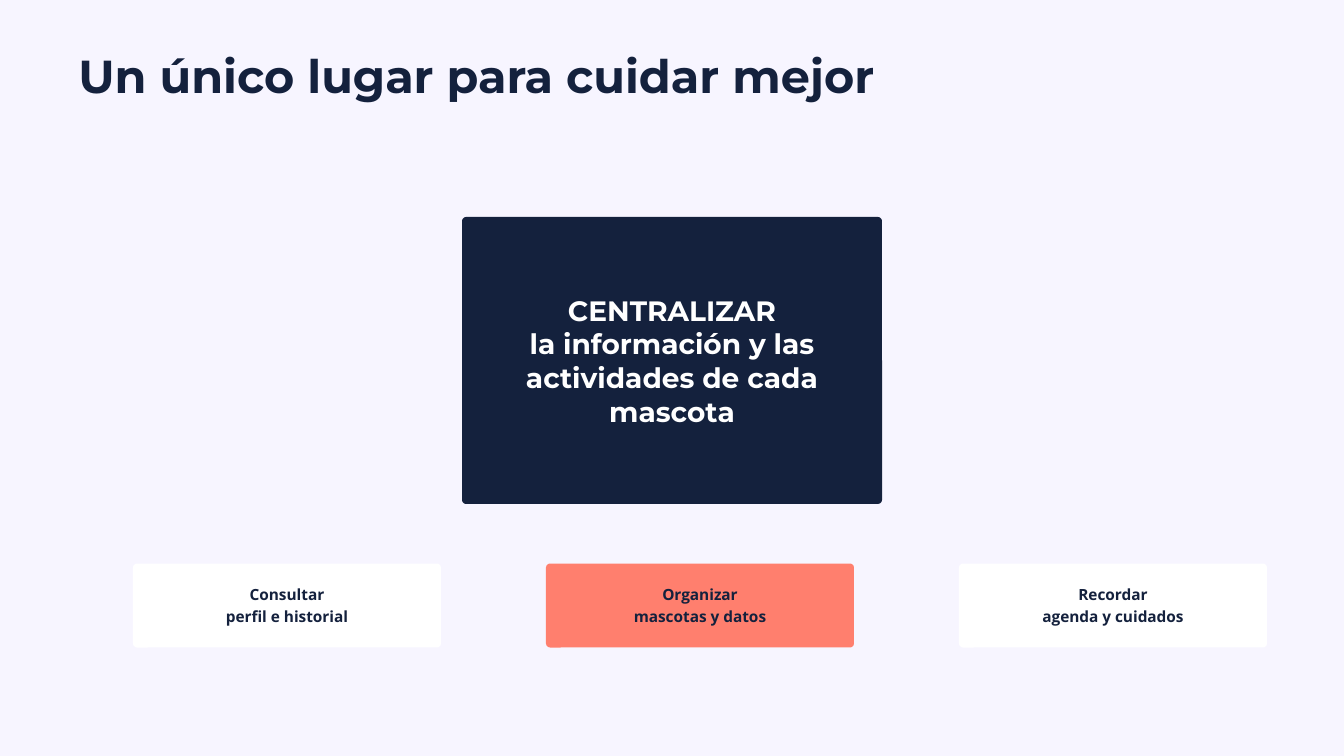
"""Builds a slide with a central purpose and three supporting actions."""
from dataclasses import dataclass

from pptx import Presentation
from pptx.dml.color import RGBColor
from pptx.enum.shapes import MSO_SHAPE
from pptx.enum.text import MSO_ANCHOR as Anchor, PP_ALIGN as Align
from pptx.slide import Slide
from pptx.text.text import TextFrame
from pptx.util import Inches, Pt

UNIT = 20 / 96


@dataclass(frozen=True)
class TextStyle:
    """Typeface, size and line height of one level of text."""
    face: str
    size: float
    leading: float


@dataclass(frozen=True)
class Theme:
    """Colours and type styles of the slide."""
    paper: str = "F7F5FF"
    navy: str = "14213D"
    white: str = "FFFFFF"
    coral: str = "FF7F6E"
    title: TextStyle = TextStyle("Montserrat", 49.5, 53.5)
    purpose: TextStyle = TextStyle("Montserrat", 30, 36)
    action: TextStyle = TextStyle("Open Sans", 16.5, 23.1)


@dataclass(frozen=True)
class Area:
    """A rectangle in columns and rows of a 96 by 54 grid."""
    column: float
    row: float
    columns: float
    rows: float

    def box(self) -> list[int]:
        """Return left, top, width and height as slide lengths."""
        return [Inches(n * UNIT) for n in (self.column, self.row, self.columns, self.rows)]


@dataclass(frozen=True)
class Card:
    """A rounded panel with centred lines of text."""
    area: Area
    lines: tuple[str, ...]
    fill: str
    ink: str
    style: TextStyle
    radius: float = 0.06
    lift: float = 0


def write(frame: TextFrame, lines: tuple[str, ...], style: TextStyle, ink: str,
          align: Align, inset: float = 0, lift: float = 0) -> None:
    """Fill a text frame with one paragraph for each line."""
    frame.word_wrap = True
    frame.margin_left = frame.margin_right = frame.margin_top = Inches(inset)
    frame.margin_bottom = Inches(inset + lift)
    for index, line in enumerate(lines):
        paragraph = frame.add_paragraph() if index else frame.paragraphs[0]
        paragraph.text = line
        paragraph.alignment = align
        paragraph.line_spacing = Pt(style.leading)
        font = paragraph.font
        font.name, font.size, font.bold = style.face, Pt(style.size), True
        font.color.rgb = RGBColor.from_string(ink)


def draw_card(slide: Slide, card: Card) -> None:
    """Draw a card with its text in the middle."""
    panel = slide.shapes.add_shape(MSO_SHAPE.ROUNDED_RECTANGLE, *card.area.box())
    panel.adjustments[0] = card.radius / (card.area.rows * UNIT)
    panel.shadow.inherit = False
    panel.fill.solid()
    panel.fill.fore_color.rgb = RGBColor.from_string(card.fill)
    panel.line.fill.background()
    panel.text_frame.vertical_anchor = Anchor.MIDDLE
    write(panel.text_frame, card.lines, card.style, card.ink, Align.CENTER, 0.06, card.lift)


def main() -> None:
    """Build and save the slide."""
    theme = Theme()
    deck = Presentation()
    deck.slide_width, deck.slide_height = Inches(20), Inches(11.25)
    slide = deck.slides.add_slide(deck.slide_layouts[6])
    slide.background.fill.solid()
    slide.background.fill.fore_color.rgb = RGBColor.from_string(theme.paper)

    title = slide.shapes.add_textbox(*Area(5.6, 3.8, 75, 3.65).box())
    write(title.text_frame, ("Un único lugar para cuidar mejor",), theme.title,
          theme.navy, Align.LEFT)

    draw_card(slide, Card(
        Area(33, 15.5, 30, 20.5),
        ("CENTRALIZAR", "la información y las actividades de cada mascota"),
        theme.navy, theme.white, theme.purpose))

    actions = (
        (("Consultar", "perfil e historial"), theme.white),
        (("Organizar", "mascotas y datos"), theme.coral),
        (("Recordar", "agenda y cuidados"), theme.white),
    )
    for index, (lines, fill) in enumerate(actions):
        area = Area(9.5 + 29.5 * index, 40.25, 22, 6)
        draw_card(slide, Card(area, lines, fill, theme.navy, theme.action, lift=0.05))

    deck.save("out.pptx")


if __name__ == "__main__":
    main()
